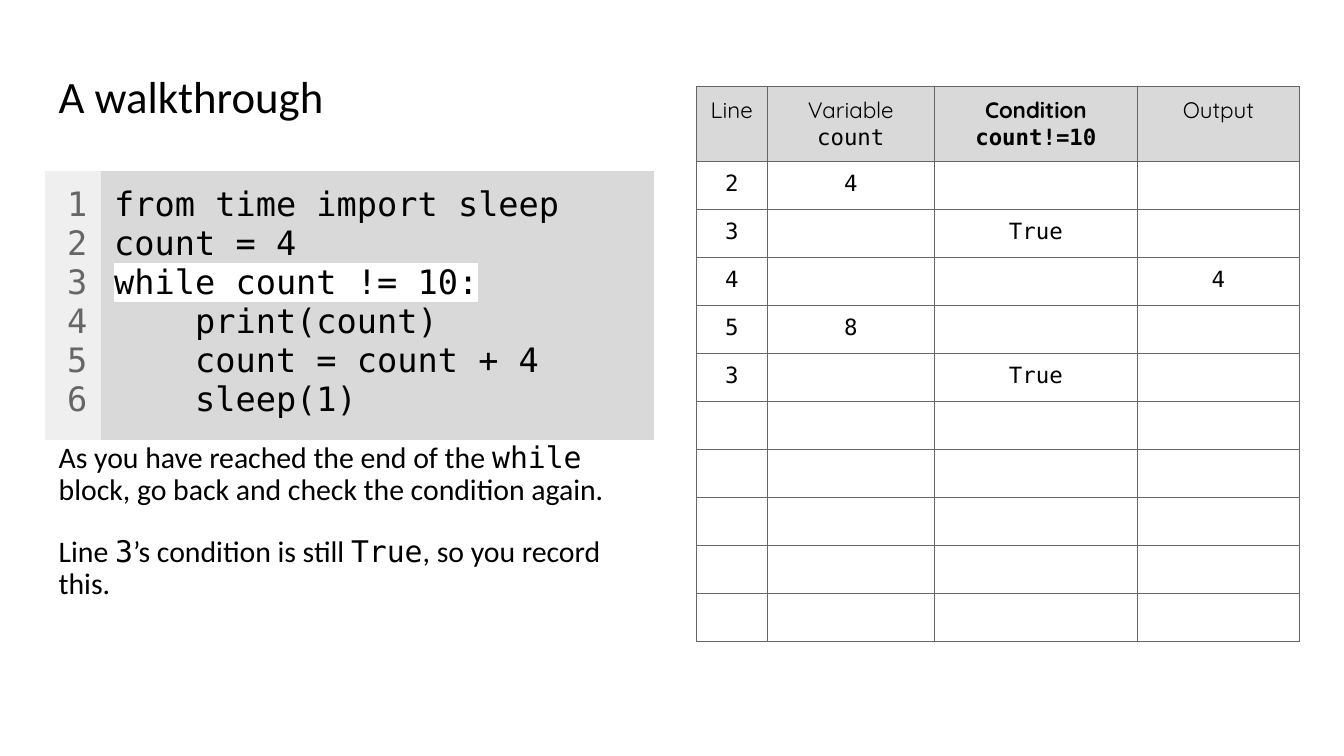
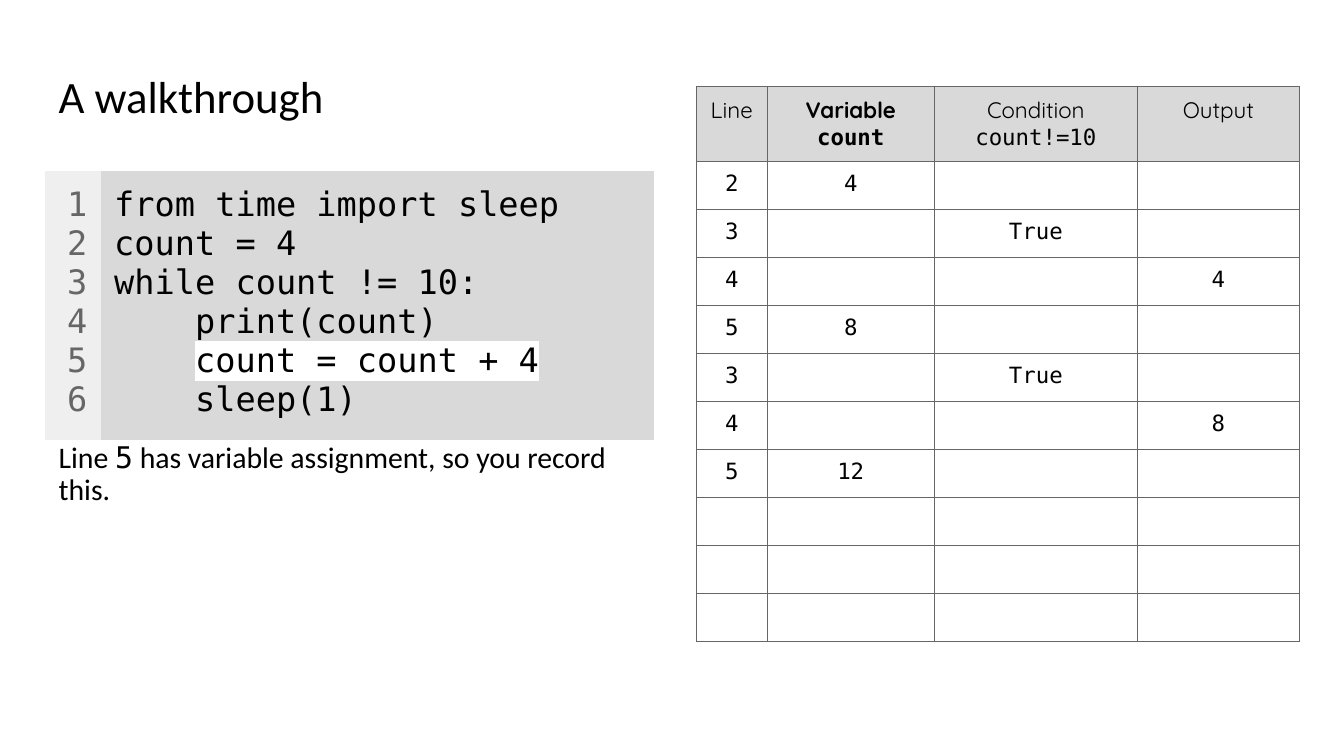
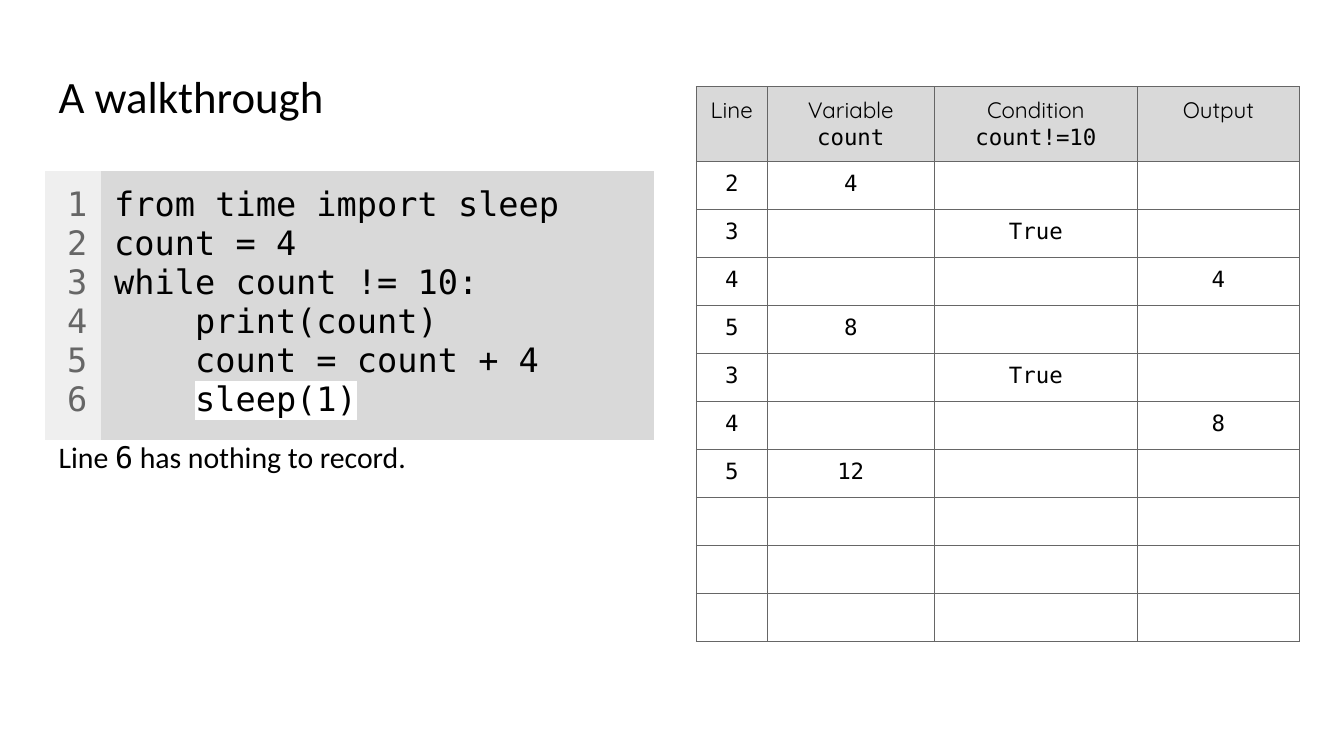
from lxml.etree import SubElement
from pptx import Presentation
from pptx.dml.color import RGBColor
from pptx.enum.text import MSO_ANCHOR, PP_ALIGN
from pptx.oxml.ns import qn
from pptx.util import Cm, Pt

COLORS = {"text": "000000", "number": "666666", "border": "666666", "gutter": "EFEFEF",
          "panel": "D9D9D9", "highlight": "FFFFFF"}
BODY, MONO, HEADING = "Calibri", "DejaVu Sans Mono", "Quicksand"
NO_STYLE = "{2D5ABB26-0587-4C30-8999-92F81FD0307C}"
LEFT = 1.14

CODE = """from time import sleep
count = 4
while count != 10:
    print(count)
    count = count + 4
    sleep(1)"""
HEADERS = ["Line", "Variable\n`count`", "Condition\n`count!=10`", "Output"]
TRACE = [("2", "4", "", ""), ("3", "", "True", ""), ("4", "", "", "4"), ("5", "8", "", ""),
         ("3", "", "True", ""), ("4", "", "", "8"), ("5", "12", "", "")]
TRACE_ROWS = 10

STEPS = [
    {"line": 3, "recorded": 5, "bold": "Condition",
     "note": "As you have reached the end of the `while` block, go back and check the condition again.\n"
             "Line `3`’s condition is still `True`, so you record this."},
    {"line": 5, "recorded": 7, "bold": "Variable",
     "note": "Line `5` has variable assignment, so you record this."},
    {"line": 6, "recorded": 7, "bold": None, "note": "Line `6` has nothing to record."},
]


def write(tf, text, size=16, font=BODY, color="text", bold=False, align=PP_ALIGN.LEFT,
          spacing=None, gap=0, highlight=None):
    for n, line in enumerate(text.split("\n"), 1):
        p = tf.paragraphs[0] if n == 1 else tf.add_paragraph()
        p.alignment = align
        if spacing:
            p.line_spacing = spacing
        if n > 1 and gap:
            p.space_before = Pt(gap)
        if n == highlight:
            code = line.lstrip()
            parts = [(line[:-len(code)], font, False), (code, font, True)]
        else:
            parts = [(part, MONO if i % 2 else font, False) for i, part in enumerate(line.split("`"))]
        for part, face, marked in parts:
            if not part:
                continue
            r = p.add_run()
            r.text = part
            r.font.size, r.font.name, r.font.bold = Pt(size), face, bold
            r.font.color.rgb = RGBColor.from_string(COLORS[color])
            if marked:
                rPr = r.font._element
                mark = SubElement(rPr, qn("a:highlight"))
                SubElement(mark, qn("a:srgbClr"), val=COLORS["highlight"])
                rPr.find(qn("a:solidFill")).addnext(mark)
        if not line:
            SubElement(p._p, qn("a:endParaRPr"), sz=str(size * 100))


def set_margins(box, margin):
    for side in ("left", "top", "right", "bottom"):
        setattr(box, f"margin_{side}", Cm(margin))


def set_borders(cell):
    tcPr = cell._tc.get_or_add_tcPr()
    for i, side in enumerate(("lnL", "lnR", "lnT", "lnB")):
        ln = SubElement(tcPr, qn(f"a:{side}"), w=str(Pt(0.75)))
        SubElement(SubElement(ln, qn("a:solidFill")), qn("a:srgbClr"), val=COLORS["border"])
        tcPr.insert(i, ln)


class Walkthrough:
    """Builds walkthrough slides in one shared style."""

    def __init__(self):
        self.prs = Presentation()
        self.prs.slide_width, self.prs.slide_height = Cm(33.87), Cm(19.05)
        self.s = None

    def new_slide(self, title):
        self.s = self.prs.slides.add_slide(self.prs.slide_layouts[6])
        self.text(title, 1.19, 31.57, 2.59, size=32, anchor=MSO_ANCHOR.MIDDLE)

    def text(self, text, top, width, height, anchor=MSO_ANCHOR.TOP, **style):
        tf = self.s.shapes.add_textbox(Cm(LEFT), Cm(top), Cm(width), Cm(height)).text_frame
        tf.word_wrap, tf.vertical_anchor = True, anchor
        set_margins(tf, 0.34)
        write(tf, text, spacing=0.9, **style)

    def table(self, left, top, widths, heights):
        frame = self.s.shapes.add_table(len(heights), len(widths), Cm(left), Cm(top),
                                        Cm(sum(widths)), Cm(sum(heights)))
        table = frame.table
        table.first_row = table.horz_banding = False
        table._tbl.tblPr.find(qn("a:tableStyleId")).text = NO_STYLE
        for column, width in zip(table.columns, widths):
            column.width = Cm(width)
        for row, height in zip(table.rows, heights):
            row.height = Cm(height)
        return table

    def cell(self, cell, text, fill=None, margin=0.25, **style):
        set_margins(cell, margin)
        if fill:
            cell.fill.solid()
            cell.fill.fore_color.rgb = RGBColor.from_string(COLORS[fill])
        else:
            cell.fill.background()
        write(cell.text_frame, text, **style)

    def code(self, source, highlight):
        table = self.table(LEFT, 4.32, [1.4, 13.94], [6.76])
        numbers = "\n".join(str(n) for n in range(1, len(source.split("\n")) + 1))
        style = {"margin": 0.34, "size": 24, "font": MONO}
        self.cell(table.cell(0, 0), numbers, fill="gutter", color="number",
                  align=PP_ALIGN.RIGHT, **style)
        self.cell(table.cell(0, 1), source, fill="panel", highlight=highlight, **style)

    def trace(self, recorded, bold):
        blank = [("",) * len(HEADERS)] * (TRACE_ROWS - recorded)
        rows = [HEADERS] + TRACE[:recorded] + blank
        table = self.table(17.55, 2.18, [1.78, 4.22, 5.11, 4.09], [1.88] + [1.21] * TRACE_ROWS)
        for i, row in enumerate(rows):
            for j, text in enumerate(row):
                cell = table.cell(i, j)
                self.cell(cell, text, fill=None if i else "panel", font=MONO if i else HEADING,
                          bold=i == 0 and text.split("\n")[0] == bold, align=PP_ALIGN.CENTER)
                set_borders(cell)


def main():
    deck = Walkthrough()
    for step in STEPS:
        deck.new_slide("A walkthrough")
        deck.code(CODE, step["line"])
        deck.text(step["note"], 10.82, 15.16, 5.36, size=21.3, gap=21.3)
        deck.trace(step["recorded"], step["bold"])
    deck.prs.save("out.pptx")


if __name__ == "__main__":
    main()
